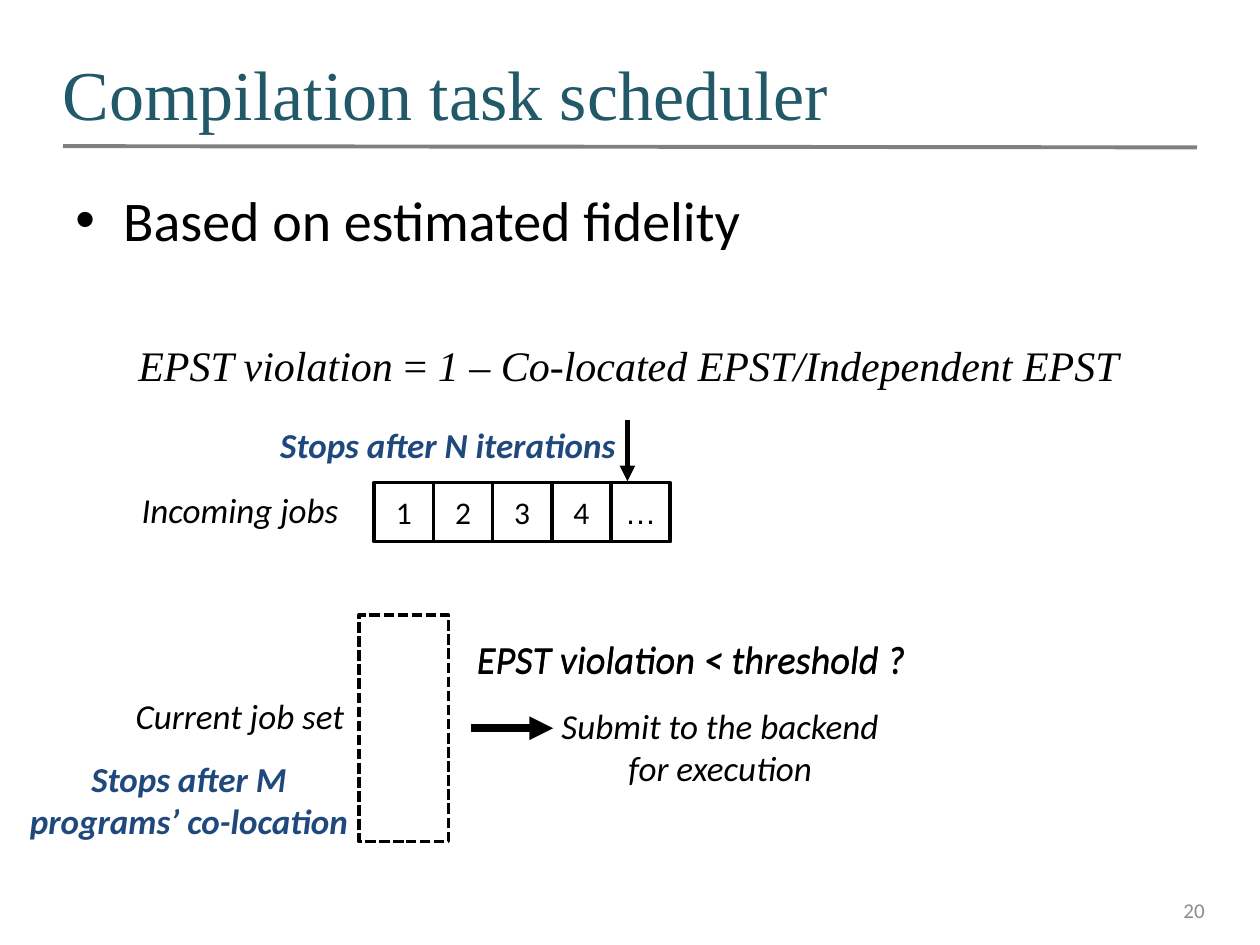
from lxml.etree import SubElement
from pptx import Presentation
from pptx.dml.color import RGBColor
from pptx.enum.dml import MSO_LINE
from pptx.enum.shapes import MSO_CONNECTOR, MSO_SHAPE
from pptx.enum.text import MSO_ANCHOR, PP_ALIGN
from pptx.oxml.ns import qn
from pptx.util import Inches, Pt

HUES = {"title": "215968", "rule": "808080", "ink": "000000", "stop": "1F497D", "page": "8C8C8C"}

deck = Presentation()
deck.slide_width, deck.slide_height = Inches(10), Inches(7.5)
col, row = deck.slide_width / 10, deck.slide_height / 7.5
slide = deck.slides.add_slide(deck.slide_layouts[6])


def place(x, y, w, h, words, size, hue="ink", font="Calibri", align=PP_ALIGN.CENTER,
          bold=False, slant=False, pad=(0.1, 0.05), anchor=MSO_ANCHOR.TOP, edge=None):
    area = [int(x * col), int(y * row), int(w * col), int(h * row)]
    if edge:
        box = slide.shapes.add_shape(MSO_SHAPE.RECTANGLE, *area)
        box.shadow.inherit = False
        box.fill.background()
        box.line.color.rgb = RGBColor.from_string(HUES["ink"])
        box.line.width = Pt(2)
        box.line.dash_style = edge
    else:
        box = slide.shapes.add_textbox(*area)
    frame = box.text_frame
    frame.word_wrap = True
    frame.vertical_anchor = anchor
    frame.margin_left = frame.margin_right = int(pad[0] * col)
    frame.margin_top = frame.margin_bottom = int(pad[1] * row)
    para = frame.paragraphs[0]
    para.text = words
    para.alignment = align
    para.font.size, para.font.name = Pt(size), font
    para.font.bold, para.font.italic = bold, slant
    para.font.color.rgb = RGBColor.from_string(HUES[hue])
    return frame


def draw(x, y, to_x, to_y, width, hue="ink", arrow=True):
    link = slide.shapes.add_connector(
        MSO_CONNECTOR.STRAIGHT, int(x * col), int(y * row), int(to_x * col), int(to_y * row))
    link.line.color.rgb = RGBColor.from_string(HUES[hue])
    link.line.width = Pt(width)
    if arrow:
        SubElement(link._element.spPr.find(qn("a:ln")), qn("a:tailEnd"), type="triangle")
    SubElement(link._element.spPr, qn("a:effectLst"))


draw(0.5, 1.16, 9.5, 1.17, 2.25, "rule", False)
place(0.5, 0.3, 9, 0.87, "Compilation task scheduler", 40, "title", "Times New Roman",
      PP_ALIGN.LEFT, pad=(0, 0.05), anchor=MSO_ANCHOR.MIDDLE)

body = place(0.5, 1.42, 9, 5.5, "Based on estimated fidelity", 32, align=PP_ALIGN.LEFT)
props = body.paragraphs[0]._p.get_or_add_pPr()
props.set("marL", str(int(0.38 * col)))
props.set("indent", str(int(-0.38 * col)))
dot = props.makeelement(qn("a:buChar"), {"char": "•"})
face = props.makeelement(qn("a:buFont"), {"typeface": "Arial"})
props.insert(0, face)
props.insert(1, dot)

rule = body.add_paragraph()
rule._p.get_or_add_pPr().set("marL", str(int(0.5 * col)))
rule.space_before = Pt(50)
rule.font.size, rule.font.name = Pt(24), "Times New Roman"
rule.font.color.rgb = RGBColor.from_string(HUES["ink"])
for words, slant in [("EPST violation ", True), ("= ", False),
                     ("1 – Co-located EPST/Independent EPST", True)]:
    run = rule.add_run()
    run.text, run.font.italic = words, slant

place(7.33, 7.02, 2.33, 0.4, "20", 12, "page", align=PP_ALIGN.RIGHT, anchor=MSO_ANCHOR.MIDDLE)

place(2.85, 4.88, 0.71, 1.8, "", 18, edge=MSO_LINE.SQUARE_DOT)
side = 0.47
for i, job in enumerate("1234…"):
    place(2.97 + i * side, 3.83, side, side, job, 18, font="Arial" if job == "…" else "Calibri",
          anchor=MSO_ANCHOR.MIDDLE, edge=MSO_LINE.SOLID)

for x, y, w, h, words in [(0.92, 3.83, 1.97, 0.44, "Incoming jobs"),
                          (0.92, 5.46, 1.97, 0.44, "Current job set"),
                          (4.34, 5.54, 2.75, 0.77, "Submit to the backend for execution")]:
    place(x, y, w, h, words, 20, slant=True)

for y in (5.04, 5.05):
    place(3.6, y, 3.77, 0.37, "EPST violation < threshold ?", 22, slant=True, pad=(0, 0))

for x, y, w, h, words in [(2.02, 3.36, 3.07, 0.34, "Stops after N iterations"),
                          (0.15, 6.01, 2.7, 0.67, "Stops after M programs’ co-location")]:
    place(x, y, w, h, words, 20, "stop", bold=True, slant=True, pad=(0, 0))

draw(4.98, 3.33, 4.98, 3.82, 3)
draw(3.74, 5.78, 4.39, 5.78, 4.5)

deck.save("out.pptx")
